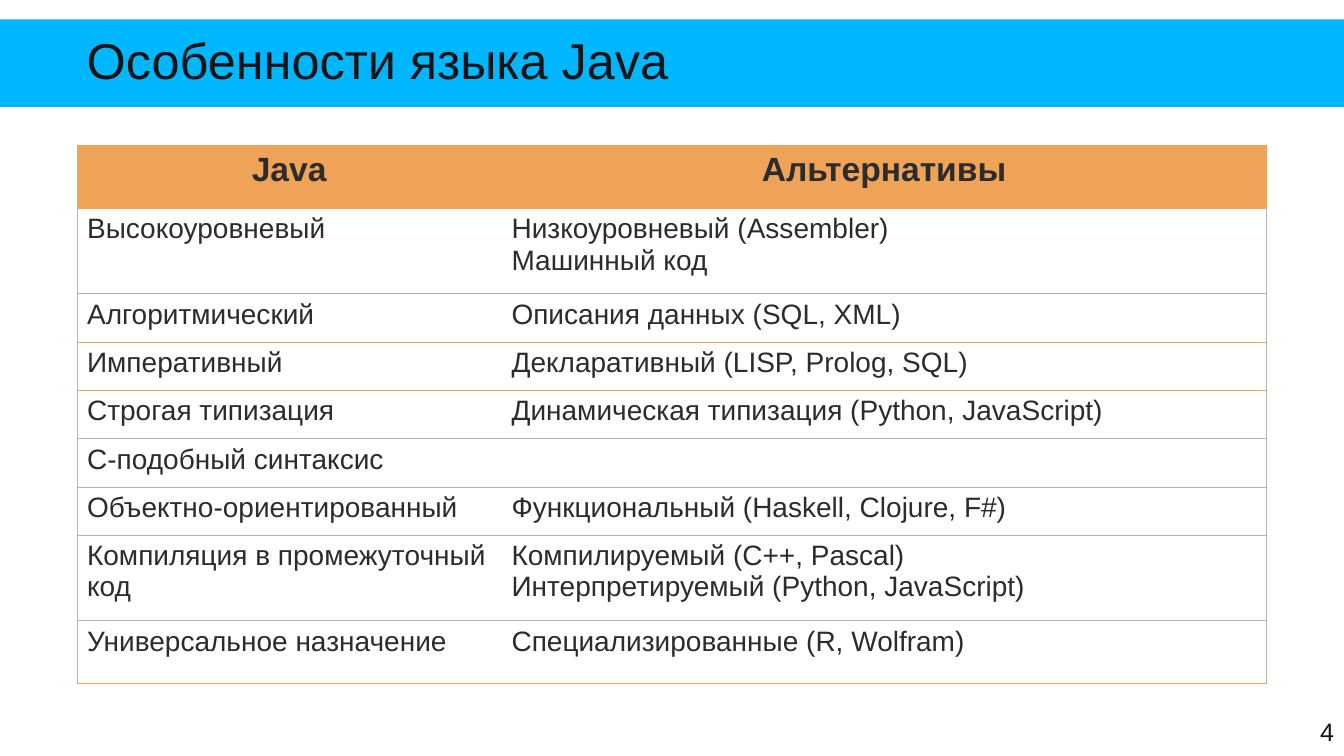
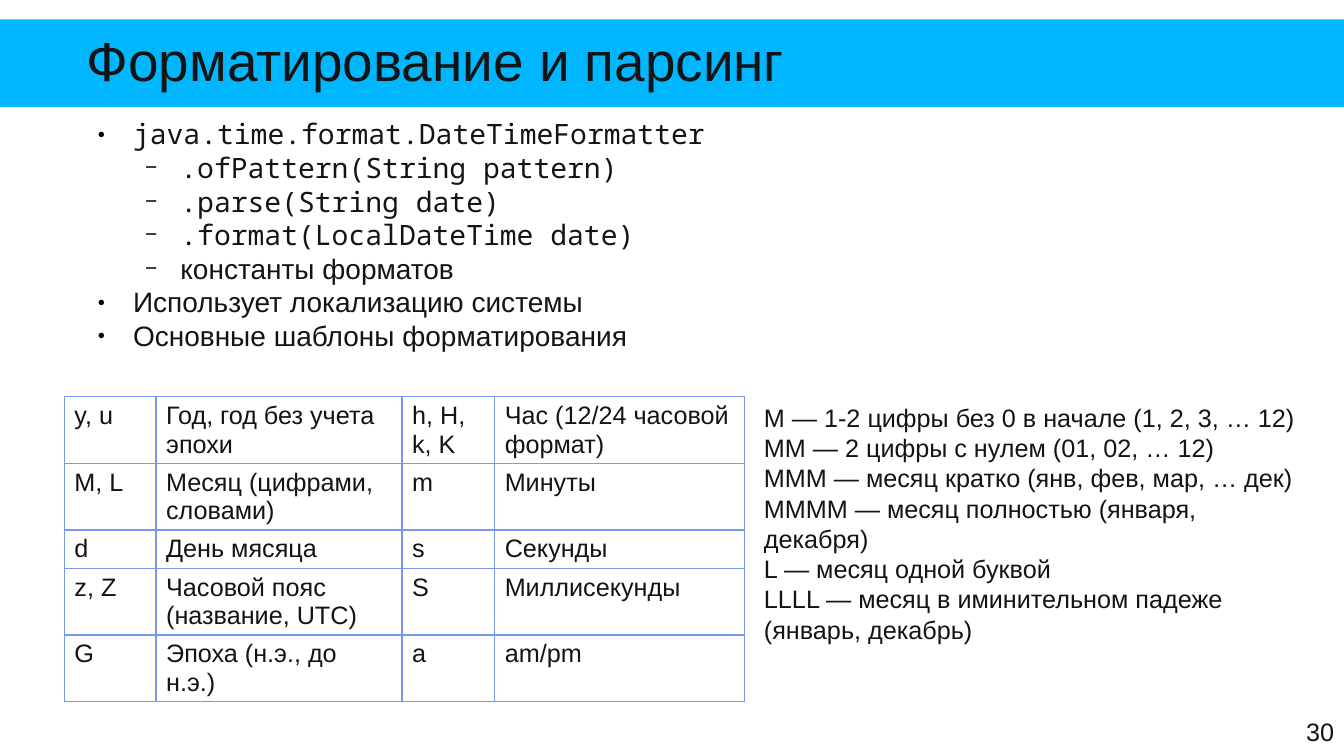
from lxml.etree import SubElement
from pptx import Presentation
from pptx.dml.color import RGBColor
from pptx.enum.shapes import MSO_SHAPE
from pptx.enum.text import MSO_ANCHOR, MSO_AUTO_SIZE, PP_ALIGN
from pptx.oxml.ns import qn
from pptx.util import Pt

COLORS = {
    "band": "00B7FF",
    "ink": "141414",
    "table_ink": "2C2C2C",
    "orange": "EEA358",
    "gray": "B3B3B3",
    "blue": "769AEA",
    "bullet": "000000",
}
SANS, MONO = "Arial", "Noto Sans Mono"
MARGINS = (7.2, 3.6, 7.2, 3.6)
BULLETS = [("●", 45), ("−", 75)]  # character and size in percent, by level

LANGUAGE_FEATURES = [
    ("Java", "Альтернативы"),
    ("Высокоуровневый", "Низкоуровневый (Assembler)\nМашинный код"),
    ("Алгоритмический", "Описания данных (SQL, XML)"),
    ("Императивный", "Декларативный (LISP, Prolog, SQL)"),
    ("Строгая типизация", "Динамическая типизация (Python, JavaScript)"),
    ("C-подобный синтаксис", ""),
    ("Объектно-ориентированный", "Функциональный (Haskell, Clojure, F#)"),
    ("Компиляция в промежуточный код",
     "Компилируемый (C++, Pascal)\nИнтерпретируемый (Python, JavaScript)"),
    ("Универсальное назначение", "Специализированные (R, Wolfram)"),
]
FORMATTER_POINTS = [
    (0, "java.time.format.DateTimeFormatter", MONO),
    (1, ".ofPattern(String pattern)", MONO),
    (1, ".parse(String date)", MONO),
    (1, ".format(LocalDateTime date)", MONO),
    (1, "константы форматов", SANS),
    (0, "Использует локализацию системы", SANS),
    (0, "Основные шаблоны форматирования", SANS),
]
PATTERN_LETTERS = [
    ("y, u", "Год, год без учета эпохи", "h, H, k, K", "Час (12/24 часовой формат)"),
    ("M, L", "Месяц (цифрами, словами)", "m", "Минуты"),
    ("d", "День мясяца", "s", "Секунды"),
    ("z, Z", "Часовой пояс (название, UTC)", "S", "Миллисекунды"),
    ("G", "Эпоха (н.э., до н.э.)", "a", "am/pm"),
]
MONTH_FORMATS = [
    "M — 1-2 цифры без 0 в начале (1, 2, 3, … 12)",
    "MM — 2 цифры с нулем (01, 02, … 12)",
    "MMM — месяц кратко (янв, фев, мар, … дек)",
    "MMMM — месяц полностью (января, декабря)",
    "L — месяц одной буквой",
    "LLLL — месяц в иминительном падеже (январь, декабрь)",
]


def rgb(name):
    return RGBColor.from_string(COLORS[name])


def add_run(paragraph, text, size, color="ink", font=SANS, bold=False):
    run = paragraph.add_run()
    run.text = text
    run.font.size = Pt(size)
    run.font.name = font
    run.font.bold = bold
    run.font.color.rgb = rgb(color)


def paragraphs_for(frame, items):
    """Pair each item with its own paragraph of the frame."""
    for index, item in enumerate(items):
        yield (frame.add_paragraph() if index else frame.paragraphs[0]), item


def set_up_frame(frame, margins=MARGINS, anchor=MSO_ANCHOR.TOP):
    frame.word_wrap = True
    frame.auto_size = MSO_AUTO_SIZE.NONE
    frame.vertical_anchor = anchor
    (frame.margin_left, frame.margin_top,
     frame.margin_right, frame.margin_bottom) = map(Pt, margins)
    return frame


def add_text_frame(slide, box, **setup):
    textbox = slide.shapes.add_textbox(*map(Pt, box))
    return set_up_frame(textbox.text_frame, **setup)


def add_titled_slide(prs, heading, size, number):
    """Add a slide with the blue band, its title and the page number."""
    slide = prs.slides.add_slide(prs.slide_layouts[5])
    title = slide.shapes.title
    band = slide.shapes.add_shape(MSO_SHAPE.RECTANGLE, 0, Pt(13.9), prs.slide_width, Pt(62.6))
    band.shadow.inherit = False
    band.fill.solid()
    band.fill.fore_color.rgb = rgb("band")
    band.line.fill.background()
    title.element.addprevious(band.element)

    title.left, title.top, title.width, title.height = map(Pt, (54.7, 22.3, 850.3, 47.5))
    line = set_up_frame(title.text_frame, anchor=MSO_ANCHOR.MIDDLE).paragraphs[0]
    line.alignment = PP_ALIGN.LEFT
    line.line_spacing = 0.85
    add_run(line, heading, size)

    footer = add_text_frame(slide, (894.2, 508.3, 65.8, 28.8),
                            margins=(3.6, 3.6, 7.2, 3.6), anchor=MSO_ANCHOR.MIDDLE)
    footer.paragraphs[0].alignment = PP_ALIGN.RIGHT
    add_run(footer.paragraphs[0], number, 18)
    return slide


def add_bullet(paragraph, level):
    char, percent = BULLETS[level]
    paragraph.level = level
    props = paragraph._p.get_or_add_pPr()
    props.set("marL", str(Pt(33.84 * (level + 1))))
    props.set("indent", str(-Pt(25.2)))
    color = SubElement(props, qn("a:buClr"))
    SubElement(color, qn("a:srgbClr"), val=COLORS["bullet"])
    SubElement(props, qn("a:buSzPct"), val=str(percent * 1000))
    SubElement(props, qn("a:buFont"), typeface=SANS)
    SubElement(props, qn("a:buChar"), char=char)


def set_borders(cell, left, right, top, bottom, width):
    """Draw the four edges; None leaves an edge without a line."""
    props = cell._tc.get_or_add_tcPr()
    for side, color in zip("LRTB", (left, right, top, bottom)):
        edge = SubElement(props, qn(f"a:ln{side}"), w=str(Pt(width)))
        if color:
            fill = SubElement(edge, qn("a:solidFill"))
            SubElement(fill, qn("a:srgbClr"), val=COLORS[color])
        else:
            SubElement(edge, qn("a:noFill"))


def add_plain_table(slide, left, top, widths, heights):
    frame = slide.shapes.add_table(len(heights), len(widths), Pt(left), Pt(top),
                                   Pt(sum(widths)), Pt(sum(heights)))
    table = frame.table
    table.first_row = table.horz_banding = False
    for column, width in zip(table.columns, widths):
        column.width = Pt(width)
    for row, height in zip(table.rows, heights):
        row.height = Pt(height)
    return table


def fill_cell(cell, text, size, color="ink", header=False):
    for paragraph, line in paragraphs_for(cell.text_frame, text.split("\n")):
        paragraph.alignment = PP_ALIGN.CENTER if header else PP_ALIGN.LEFT
        if line:
            add_run(paragraph, line, size, color, bold=header)
    if header:
        cell.fill.solid()
        cell.fill.fore_color.rgb = rgb("orange")
    else:
        cell.fill.background()


def add_features_table(slide):
    heights = [44.9, 61] + [34.5] * 5 + [61, 44.9]
    table = add_plain_table(slide, 55, 104, [303.2, 546.6], heights)
    orange_rules = {0, 2, 3, len(heights) - 1}
    rules = ["orange" if r in orange_rules else "gray" for r in range(len(heights))]
    for r, texts in enumerate(LANGUAGE_FEATURES):
        header = r == 0
        side = "orange" if header else "gray"
        above = "orange" if header else rules[r - 1]
        for c, text in enumerate(texts):
            cell = table.cell(r, c)
            left, right = (side, None) if c == 0 else (None, side)
            set_borders(cell, left, right, above, rules[r], 0.75)
            fill_cell(cell, text, 24 if header else 20, "table_ink", header)


def add_patterns_table(slide):
    table = add_plain_table(slide, 46, 283.5, [65.5, 175.7, 66.2, 178.6],
                            [47.5, 47.5, 27.5, 47.5, 47.5])
    for r, texts in enumerate(PATTERN_LETTERS):
        for c, text in enumerate(texts):
            set_borders(table.cell(r, c), *["blue"] * 4, width=1)
            fill_cell(table.cell(r, c), text, 18)


def add_formatter_points(slide):
    frame = add_text_frame(slide, (61.2, 83.5, 849.6, 184.3), margins=(0, 0, 0, 0))
    for paragraph, (level, text, font) in paragraphs_for(frame, FORMATTER_POINTS):
        paragraph.line_spacing = Pt(24)
        add_bullet(paragraph, level)
        add_run(paragraph, text, 20, font=font)


def add_month_formats(slide):
    frame = add_text_frame(slide, (538.6, 283.7, 396.7, 188.6))
    for paragraph, text in paragraphs_for(frame, MONTH_FORMATS):
        paragraph.line_spacing = Pt(21.6)
        add_run(paragraph, text, 18)


def main():
    prs = Presentation()
    prs.slide_width, prs.slide_height = Pt(960), Pt(540)

    features = add_titled_slide(prs, "Особенности языка Java", 36, "4")
    add_features_table(features)

    formatting = add_titled_slide(prs, "Форматирование и парсинг", 39.2, "30")
    add_formatter_points(formatting)
    add_patterns_table(formatting)
    add_month_formats(formatting)

    prs.save("out.pptx")


if __name__ == "__main__":
    main()
